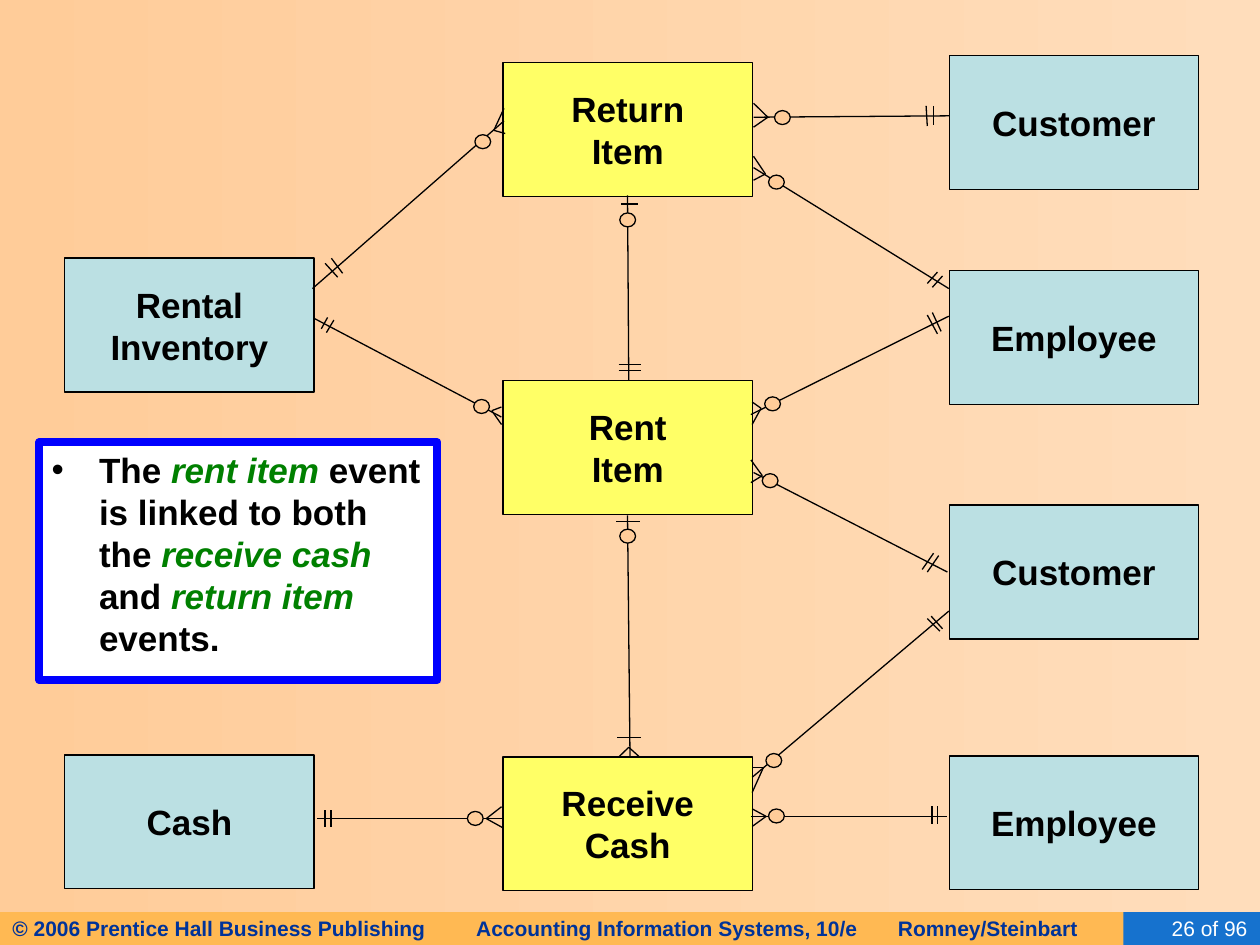
from lxml.etree import SubElement
from pptx import Presentation
from pptx.dml.color import RGBColor
from pptx.enum.shapes import MSO_CONNECTOR, MSO_SHAPE
from pptx.enum.text import MSO_ANCHOR, PP_ALIGN
from pptx.oxml.ns import qn
from pptx.util import Pt

HUES = {
    "black": "000000", "white": "FFFFFF", "sky": "BBE0E3",
    "lemon": "FFFF66", "peach": "FFCC99", "cream": "FFDDBB",
    "orange": "FFB953", "navy": "003399", "azure": "1672CE",
    "blue": "0000FF", "green": "008000",
}


class Chart:
    face = "Arial"
    size = 20
    thin = 0.75

    def __init__(self, slide):
        self.slide = slide

    def hue(self, name):
        return RGBColor.from_string(HUES[name])

    def ground(self, first, last):
        fill = self.slide.background.fill
        fill.gradient()
        fill.gradient_angle = 180
        for stop, name in zip(fill.gradient_stops, (first, last)):
            stop.color.rgb = self.hue(name)

    def shape(self, kind, x, y, w, h, fill, line=None, width=thin):
        item = self.slide.shapes.add_shape(kind, Pt(x), Pt(y), Pt(w), Pt(h))
        item.shadow.inherit = False
        item.fill.solid()
        item.fill.fore_color.rgb = self.hue(fill)
        if line:
            item.line.color.rgb = self.hue(line)
            item.line.width = Pt(width)
        else:
            item.line.fill.background()
        return item

    def font(self, para, color="black", size=size, bold=True):
        font = para.font
        font.name = self.face
        font.size = Pt(size)
        font.bold = bold
        font.color.rgb = self.hue(color)

    def entity(self, x, y, text, fill):
        item = self.shape(MSO_SHAPE.RECTANGLE, x, y, 142.5, 76.5, fill, "black")
        frame = item.text_frame
        frame.word_wrap = False
        frame.vertical_anchor = MSO_ANCHOR.MIDDLE
        for spot, word in enumerate(text.split()):
            para = frame.add_paragraph() if spot else frame.paragraphs[0]
            para.text = word
            para.alignment = PP_ALIGN.CENTER
            self.font(para)

    def line(self, x1, y1, x2, y2):
        item = self.slide.shapes.add_connector(
            MSO_CONNECTOR.STRAIGHT, Pt(x1), Pt(y1), Pt(x2), Pt(y2))
        item.line.color.rgb = self.hue("black")
        item.line.width = Pt(self.thin)
        SubElement(item.element.spPr, qn("a:effectLst"))

    def link(self, path, ring, foot, bars):
        self.line(*path)
        if foot:
            tip, *toes = foot
            for toe in toes:
                self.line(*tip, *toe)
        for bar in bars:
            self.line(*bar)
        self.shape(MSO_SHAPE.OVAL, *ring, 9, 8, "peach", "black")

    def band(self, x, w, fill, parts, color, bold, align, tabs=()):
        item = self.shape(MSO_SHAPE.RECTANGLE, x, 521.3, w, 18.7, fill)
        frame = item.text_frame
        frame.word_wrap = True
        frame.vertical_anchor = MSO_ANCHOR.MIDDLE
        para = frame.paragraphs[0]
        para.add_run().text = "\t".join(parts)
        para.alignment = align
        if tabs:
            stops = SubElement(para._p.get_or_add_pPr(), qn("a:tabLst"))
            for tab in tabs:
                SubElement(stops, qn("a:tab"), pos=str(Pt(tab)), algn="l")
        self.font(para, color, 12, bold)

    def note(self, x, y, w, h, parts):
        item = self.shape(MSO_SHAPE.RECTANGLE, x, y, w, h, "white", "blue", 4.5)
        frame = item.text_frame
        frame.word_wrap = True
        frame.vertical_anchor = MSO_ANCHOR.TOP
        para = frame.paragraphs[0]
        para.alignment = PP_ALIGN.LEFT
        props = para._p.get_or_add_pPr()
        props.set("marL", str(Pt(27)))
        props.set("indent", str(Pt(-27)))
        tint = SubElement(props, qn("a:buClr"))
        SubElement(tint, qn("a:srgbClr"), val=HUES["black"])
        SubElement(props, qn("a:buFont"), typeface=self.face)
        SubElement(props, qn("a:buChar"), char="•")
        self.font(para)
        for text, key in parts:
            run = para.add_run()
            run.text = text
            if key:
                run.font.italic = True
                run.font.color.rgb = self.hue("green")


LEFT, MID, RIGHT = 37, 287.5, 542.4

BOXES = [
    (RIGHT, 432, "Employee", "sky"),
    (RIGHT, 288.6, "Customer", "sky"),
    (RIGHT, 154.6, "Employee", "sky"),
    (RIGHT, 31.6, "Customer", "sky"),
    (LEFT, 431.4, "Cash", "sky"),
    (LEFT, 147.5, "Rental Inventory", "sky"),
    (MID, 432.5, "Receive Cash", "lemon"),
    (MID, 217.4, "Rent Item", "lemon"),
    (MID, 35.8, "Return Item", "lemon"),
]

LINKS = [
    ((286.5, 238.3, 180, 182.2), (270.7, 228.3),
     ((281, 234.7), (286.5, 232.6), (286.6, 242.6)),
     [(190.8, 182.9, 186.5, 190.1), (187.2, 181.4, 183.6, 187.9)]),
    ((181.4, 467.8, 286.6, 467.8), (267.1, 463.7),
     ((277.9, 467.8), (286.6, 461), (287.3, 473)),
     [(185.8, 463, 185.8, 472.6), (189.2, 463, 189.2, 472.6)]),
    ((358.6, 294.5, 360, 432), (354.2, 302.4),
     ((359.3, 427), (353.5, 432.7), (365.6, 432.7)),
     [(352.2, 298, 365.7, 298), (352.8, 421.3, 366.3, 421.3)]),
    ((429.1, 236.9, 542.2, 180.7), (437, 226.8),
     ((434.9, 233.3), (429.8, 229.7), (429.8, 242.6)),
     [(532.8, 178.6, 537.8, 189.4), (529.9, 180, 535.7, 190.8)]),
    ((430.6, 270, 541.4, 326.9), (435.6, 270.7),
     ((435.6, 271.8), (429.1, 275.8), (429.1, 262.8)),
     [(536.4, 317.5, 529.9, 326.9), (533.5, 316.1, 527, 325.4)]),
    ((429.1, 466.5, 541.4, 466.5), (439.2, 462.3),
     ((437.8, 466.5), (429.8, 462.2), (429.8, 472.3)),
     [(532.6, 460.8, 532.6, 470.9), (535.6, 460.8, 535.6, 470.9)]),
    ((542.2, 349.2, 429.8, 444.2), (437.7, 430.6),
     ((436.3, 438.5), (429.8, 438.5), (429.8, 452.9)),
     [(532.1, 352.1, 538.6, 359.3), (529.9, 353.5, 537.1, 360.7)]),
    ((288, 69.1, 178.6, 164.9), (271.4, 77),
     ((282.2, 74.5), (288.7, 76.3), (288, 61.9)),
     [(189.4, 147.6, 195.8, 156.2), (185.8, 150.5, 193, 158.4)]),
    ((358.6, 111.6, 359.3, 217.4), (354.2, 121.7), None,
     [(355, 116.6, 364.5, 116.6), (353.5, 211.7, 366.5, 211.7),
      (353.5, 208.1, 366.5, 208.1)]),
    ((430.6, 67, 542.2, 66.2), (442.6, 63.2),
     ((438.8, 67), (430.6, 59), (430.6, 72.7)),
     [(533.5, 60.5, 533.5, 71.3), (529.2, 60.5, 529.9, 72)]),
    ((542.2, 164.9, 430.6, 95.8), (439.2, 100.1),
     ((437.4, 99.4), (430.6, 103), (430.6, 89.3)),
     [(532.8, 164.2, 538.6, 157.7), (529.9, 162, 535.7, 155.5)]),
]

NOTE = [
    ("The ", False), ("rent item", True),
    (" event is linked to both the ", False), ("receive cash", True),
    (" and ", False), ("return item", True), (" events.", False),
]


def main():
    deck = Presentation()
    deck.slide_width, deck.slide_height = Pt(720), Pt(540)
    chart = Chart(deck.slides.add_slide(deck.slide_layouts[6]))
    chart.ground("cream", "peach")
    chart.band(0, 666, "orange",
               ["© 2006 Prentice Hall Business Publishing",
                "Accounting Information Systems, 10/e", "Romney/Steinbart"],
               "navy", True, PP_ALIGN.LEFT, (265, 506))
    chart.band(642, 78, "azure", ["26 of 96"], "white", False, PP_ALIGN.RIGHT)
    for box in BOXES:
        chart.entity(*box)
    for link in LINKS:
        chart.link(*link)
    chart.note(22.5, 252.7, 227.5, 136, NOTE)
    deck.save("out.pptx")


if __name__ == "__main__":
    main()
